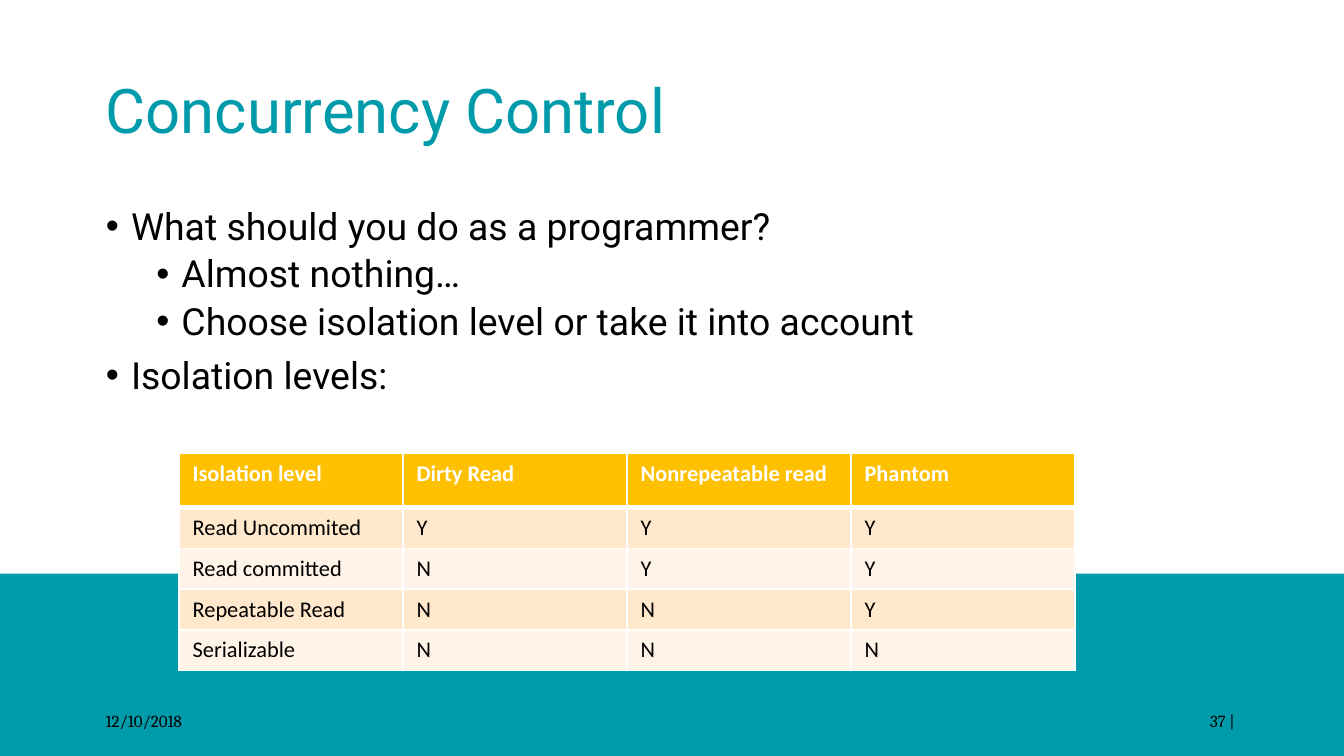
from typing import NamedTuple

from lxml.etree import SubElement
from pptx import Presentation
from pptx.dml.color import RGBColor
from pptx.enum.shapes import MSO_SHAPE
from pptx.enum.text import MSO_ANCHOR, MSO_AUTO_SIZE, PP_ALIGN
from pptx.oxml.ns import qn
from pptx.util import Pt

COLORS = {
    "teal": "009BAA",
    "black": "000000",
    "white": "FFFFFF",
    "header": "FFC000",
    "odd_row": "FFE8CC",
    "even_row": "FFF4E7",
}


class Box(NamedTuple):
    left: float
    top: float
    width: float
    height: float

    def lengths(self) -> list:
        return [Pt(value) for value in self]


class Bullet(NamedTuple):
    text: str
    level: int = 0


class FooterItem(NamedTuple):
    text: str
    left: float
    align: PP_ALIGN


SLIDE_WIDTH, SLIDE_HEIGHT = 720, 405
BAND_TOP = 307.3
MARGIN = 49.5
CONTENT_WIDTH = SLIDE_WIDTH - 2 * MARGIN
FOOTER_WIDTH = 162
HANGING = 13.5
HEADER_HEIGHT, ROW_HEIGHT = 29.3, 21.8

TITLE_BOX = Box(MARGIN, 21.6, CONTENT_WIDTH, 78.3)
BODY_BOX = Box(MARGIN, 107.8, CONTENT_WIDTH, 257)
TABLE_BOX = Box(96, 242.8, 480, HEADER_HEIGHT + 4 * ROW_HEIGHT)

BULLETS = [
    Bullet("What should you do as a programmer?"),
    Bullet("Almost nothing…", 1),
    Bullet("Choose isolation level or take it into account", 1),
    Bullet("Isolation levels:"),
]
FOOTER = [
    FooterItem("12/10/2018", MARGIN, PP_ALIGN.LEFT),
    FooterItem("37 | ", SLIDE_WIDTH - MARGIN - FOOTER_WIDTH, PP_ALIGN.RIGHT),
]
ISOLATION_LEVELS = [
    ("Isolation level", "Dirty Read", "Nonrepeatable read", "Phantom"),
    ("Read Uncommited", "Y", "Y", "Y"),
    ("Read committed", "N", "Y", "Y"),
    ("Repeatable Read", "N", "N", "Y"),
    ("Serializable", "N", "N", "N"),
]


def rgb(name: str) -> RGBColor:
    return RGBColor.from_string(COLORS[name])


def set_font(paragraph, face: str, size: float, color: str, bold: bool = False) -> None:
    font = paragraph.font
    font.name, font.size, font.bold = face, Pt(size), bold
    font.color.rgb = rgb(color)


def place(shape, box: Box) -> None:
    shape.left, shape.top, shape.width, shape.height = box.lengths()


def draw_band(slide) -> None:
    """Draw the teal band behind everything else."""
    box = Box(0, BAND_TOP, SLIDE_WIDTH, SLIDE_HEIGHT - BAND_TOP)
    band = slide.shapes.add_shape(MSO_SHAPE.RECTANGLE, *box.lengths())
    band.shadow.inherit = False
    band.fill.solid()
    band.fill.fore_color.rgb = rgb("teal")
    band.line.fill.background()
    slide.shapes._spTree.insert(2, band._element)


def write_title(title) -> None:
    place(title, TITLE_BOX)
    frame = title.text_frame
    frame.text = "Concurrency Control"
    frame.auto_size = MSO_AUTO_SIZE.NONE
    frame.vertical_anchor = MSO_ANCHOR.MIDDLE
    paragraph = frame.paragraphs[0]
    paragraph.alignment = PP_ALIGN.LEFT
    paragraph.line_spacing = 0.9
    set_font(paragraph, "Roboto", 33, "teal")


def write_bullets(body, bullets: list[Bullet]) -> None:
    place(body, BODY_BOX)
    frame = body.text_frame
    frame.auto_size = MSO_AUTO_SIZE.NONE
    frame.text = "\n".join(bullet.text for bullet in bullets)
    for paragraph, bullet in zip(frame.paragraphs, bullets):
        paragraph.level = bullet.level
        paragraph.line_spacing = 0.9
        paragraph.space_before = Pt(3.8 if bullet.level else 7.5)
        properties = paragraph._p.get_or_add_pPr()
        properties.set("marL", str(Pt(HANGING + 27 * bullet.level)))
        properties.set("indent", str(Pt(-HANGING)))
        SubElement(properties, qn("a:buFont"), typeface="Arial")
        SubElement(properties, qn("a:buChar"), char="•")
        set_font(paragraph, "Roboto", 20, "black")


def draw_footer_item(slide, item: FooterItem) -> None:
    box = Box(item.left, 375.4, FOOTER_WIDTH, 21.6)
    frame = slide.shapes.add_textbox(*box.lengths()).text_frame
    frame.word_wrap = True
    frame.vertical_anchor = MSO_ANCHOR.MIDDLE
    frame.text = item.text
    frame.paragraphs[0].alignment = item.align
    set_font(frame.paragraphs[0], "Cambria", 9, "black")


def set_borders(cell, widths: dict[str, float]) -> None:
    """Give the cell white edges; the lines must precede its fill."""
    properties = cell._tc.get_or_add_tcPr()
    for edge, width in widths.items():
        line = SubElement(properties, qn(f"a:{edge}"), w=str(Pt(width)))
        fill = SubElement(line, qn("a:solidFill"))
        SubElement(fill, qn("a:srgbClr"), val=COLORS["white"])


def draw_table(slide, rows: list[tuple]) -> None:
    table = slide.shapes.add_table(len(rows), len(rows[0]), *TABLE_BOX.lengths()).table
    for row_index, values in enumerate(rows):
        is_header = row_index == 0
        table.rows[row_index].height = Pt(HEADER_HEIGHT if is_header else ROW_HEIGHT)
        fill = "header" if is_header else "odd_row" if row_index % 2 else "even_row"
        widths = {
            "lnL": 1,
            "lnR": 1,
            "lnT": 3 if row_index == 1 else 1,
            "lnB": 3 if is_header else 1,
        }
        for column, value in enumerate(values):
            cell = table.cell(row_index, column)
            set_borders(cell, widths)
            cell.fill.solid()
            cell.fill.fore_color.rgb = rgb(fill)
            cell.text = value
            set_font(cell.text_frame.paragraphs[0], "Calibri", 12,
                     "white" if is_header else "black", is_header)


def main() -> None:
    presentation = Presentation()
    presentation.slide_width = Pt(SLIDE_WIDTH)
    presentation.slide_height = Pt(SLIDE_HEIGHT)
    slide = presentation.slides.add_slide(presentation.slide_layouts[1])
    write_title(slide.shapes.title)
    write_bullets(slide.placeholders[1], BULLETS)
    draw_band(slide)
    for item in FOOTER:
        draw_footer_item(slide, item)
    draw_table(slide, ISOLATION_LEVELS)
    presentation.save("out.pptx")


if __name__ == "__main__":
    main()
